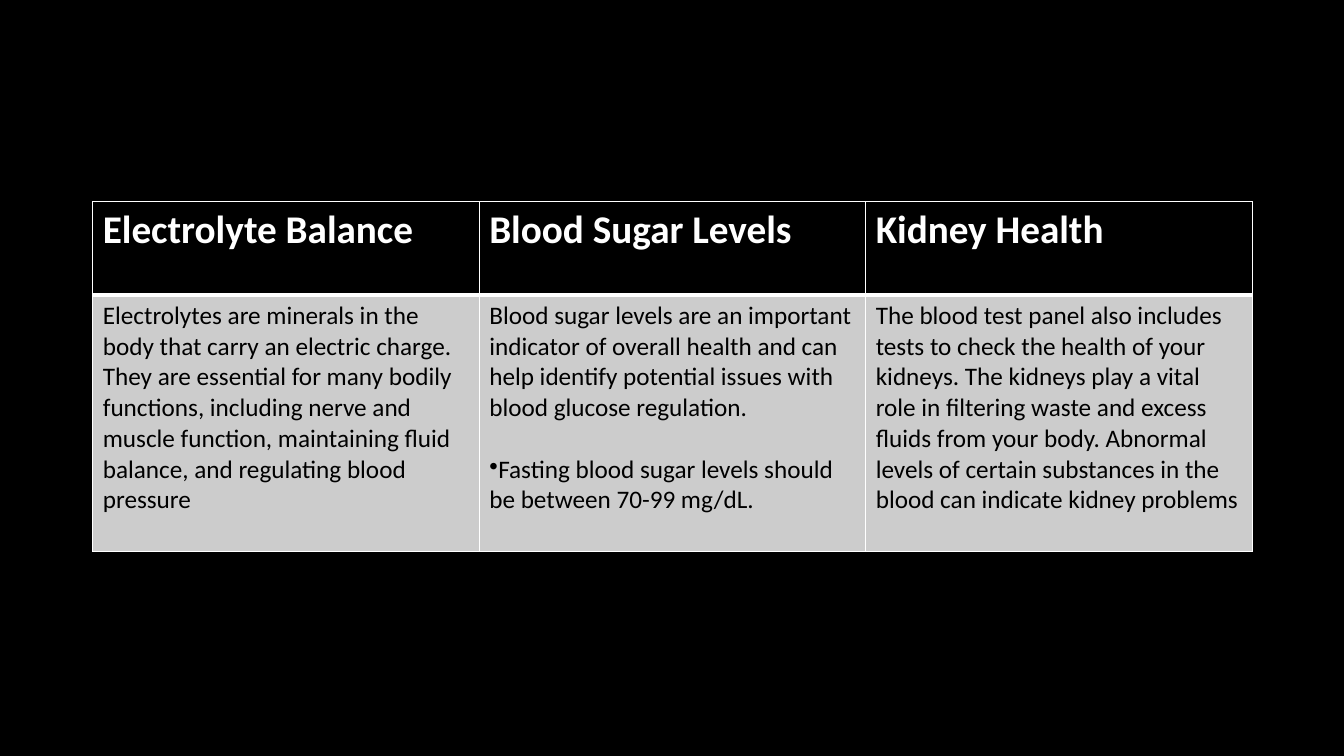
import pptx
import pptx.dml.color
import pptx.oxml.ns
import pptx.util
from lxml import etree

Inches, Pt = pptx.util.Inches, pptx.util.Pt
RGBColor = pptx.dml.color.RGBColor
qn = pptx.oxml.ns.qn

BLACK = RGBColor(0x00, 0x00, 0x00)
WHITE = RGBColor(0xFF, 0xFF, 0xFF)
GREY = RGBColor(0xCC, 0xCC, 0xCC)

TOPICS = [
    ("Electrolyte Balance", [
        "Electrolytes are minerals in the body that carry an electric charge. "
        "They are essential for many bodily functions, including nerve and muscle "
        "function, maintaining fluid balance, and regulating blood pressure"]),
    ("Blood Sugar Levels", [
        "Blood sugar levels are an important indicator of overall health and can "
        "help identify potential issues with blood glucose regulation.",
        "Fasting blood sugar levels should be between 70-99 mg/dL."]),
    ("Kidney Health", [
        "The blood test panel also includes tests to check the health of your "
        "kidneys. The kidneys play a vital role in filtering waste and excess "
        "fluids from your body. Abnormal levels of certain substances in the "
        "blood can indicate kidney problems"]),
]


class SlideBuilder:
    font = "Calibri"
    bullet_gap = Pt(22)

    def __init__(self, prs):
        self.s = prs.slides.add_slide(prs.slide_layouts[6])

    def background(self, color):
        fill = self.s.background.fill
        fill.solid()
        fill.fore_color.rgb = color

    def borders(self, cell, widths):
        """Draw white cell edges; widths maps L, R, T, B to points."""
        tcPr = cell._tc.get_or_add_tcPr()
        for side in "LRTB":
            ln = etree.SubElement(tcPr, qn(f"a:ln{side}"), w=str(Pt(widths[side])))
            solid = etree.SubElement(ln, qn("a:solidFill"))
            etree.SubElement(solid, qn("a:srgbClr"), val=str(WHITE))

    def bullet(self, p):
        pPr = p._p.get_or_add_pPr()
        pPr.set("marL", "0")
        pPr.set("indent", "0")
        p.space_before = self.bullet_gap
        etree.SubElement(pPr, qn("a:buChar"), char="•")

    def cell(self, cell, paragraphs, size, color, fill, bold, widths):
        """Fill a cell; paragraphs after the first are bulleted."""
        self.borders(cell, widths)
        cell.fill.solid()
        cell.fill.fore_color.rgb = fill
        tf = cell.text_frame
        for i, text in enumerate(paragraphs):
            p = tf.add_paragraph() if i else tf.paragraphs[0]
            p.text = text
            if i:
                self.bullet(p)
            for r in p.runs:
                r.font.name = self.font
                r.font.size = Pt(size)
                r.font.bold = bold
                r.font.color.rgb = color

    def topic_table(self, topics, left, top, width, row_heights):
        frame = self.s.shapes.add_table(2, len(topics), left, top, width, sum(row_heights))
        table = frame.table
        table.first_row = table.horz_banding = False
        for row, height in zip(table.rows, row_heights):
            row.height = height
        for col, (heading, body) in enumerate(topics):
            self.cell(table.cell(0, col), [heading], 28, WHITE, BLACK, True,
                      {"L": 1, "R": 1, "T": 1, "B": 3})
            self.cell(table.cell(1, col), body, 18, BLACK, GREY, False,
                      {"L": 1, "R": 1, "T": 3, "B": 1})


def main():
    prs = pptx.Presentation()
    prs.slide_width, prs.slide_height = Inches(13.33), Inches(7.5)
    builder = SlideBuilder(prs)
    builder.background(BLACK)
    builder.topic_table(TOPICS, Inches(0.92), Inches(2), Inches(11.5),
                        [Inches(0.93), Inches(2.54)])
    prs.save("out.pptx")


if __name__ == "__main__":
    main()
